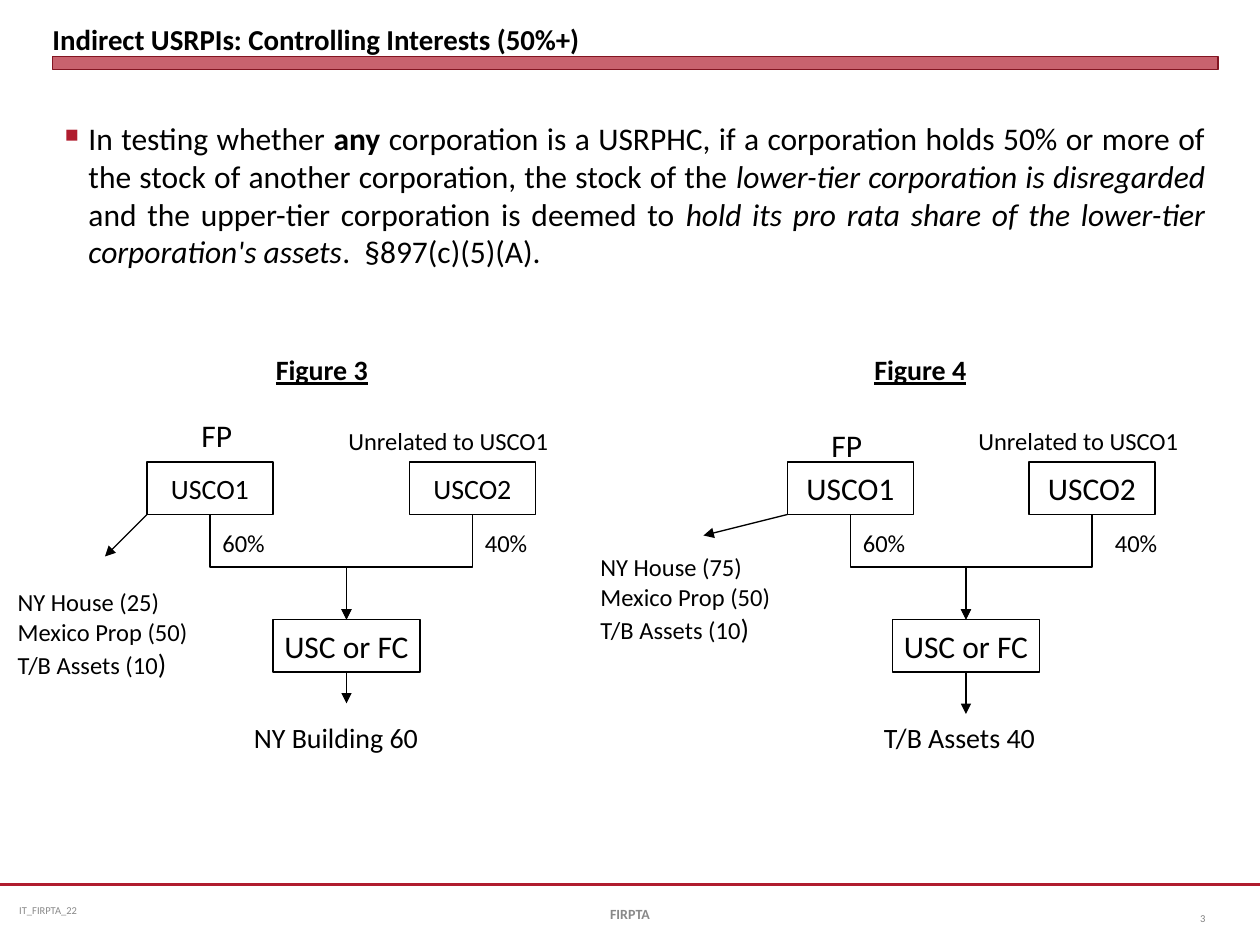
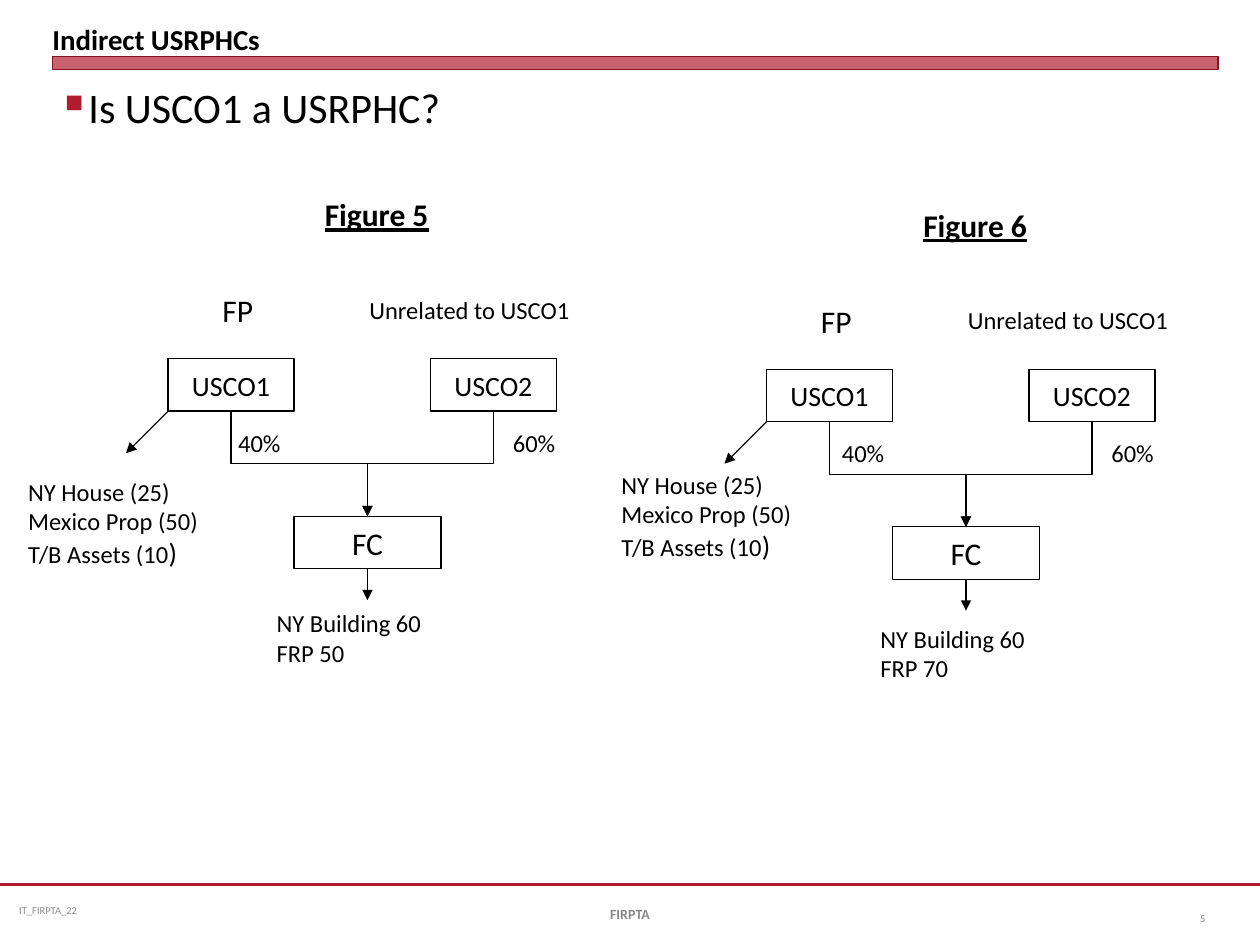
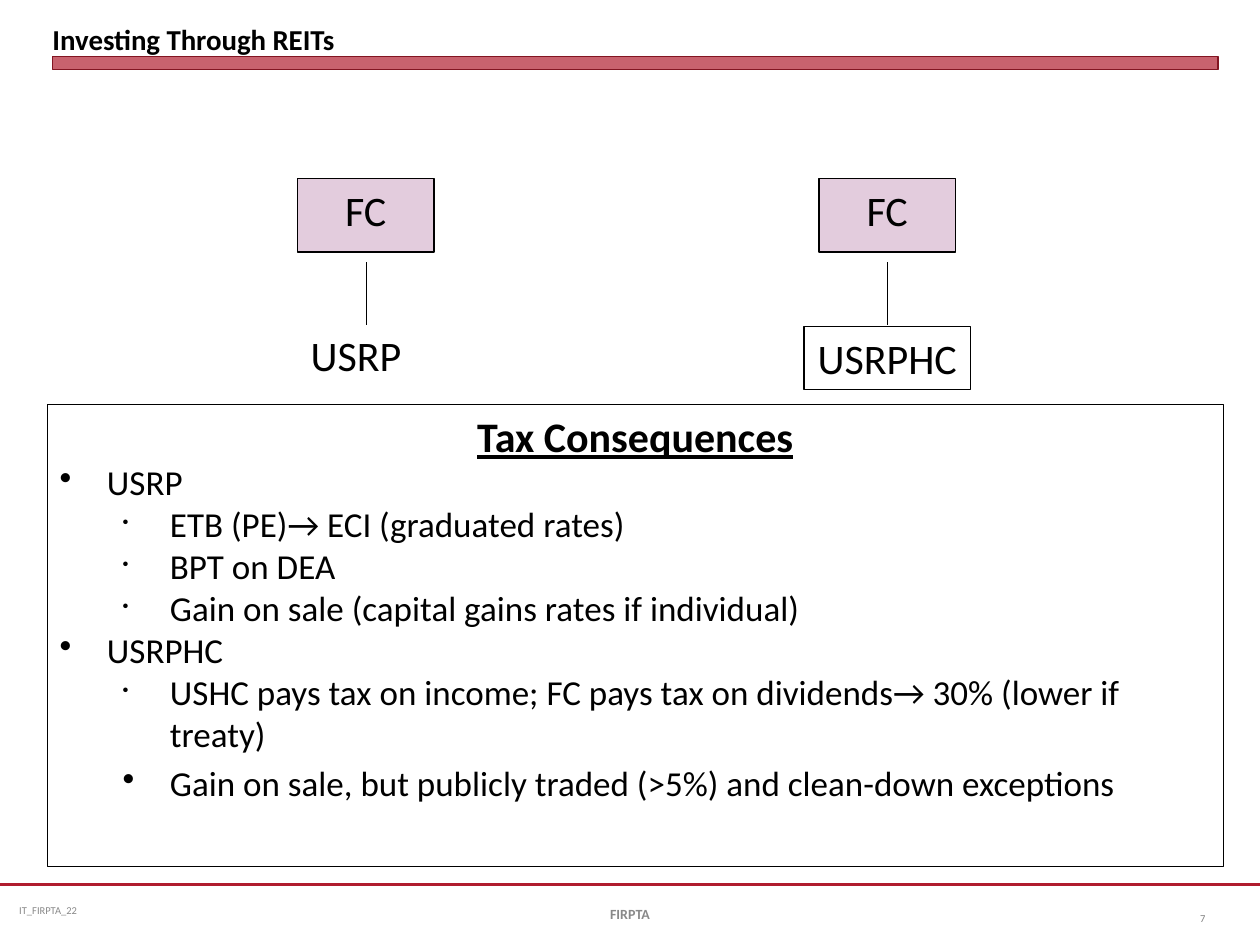
from dataclasses import dataclass

from lxml import etree
from pptx import Presentation
from pptx.dml.color import RGBColor
from pptx.enum import shapes, text
from pptx.oxml import ns
from pptx.util import Pt

FONT = "Calibri"
BLACK, CRIMSON, MAROON = "000000", "B01C2E", "821522"
FOOTER_GREY, NUMBER_GREY, MAUVE = "898989", "808080", "E3CCDD"
LEFT, CENTER, RIGHT, JUSTIFY = (text.PP_ALIGN.LEFT, text.PP_ALIGN.CENTER,
                                text.PP_ALIGN.RIGHT, text.PP_ALIGN.JUSTIFY)
TOP, MIDDLE, BOTTOM = text.MSO_ANCHOR.TOP, text.MSO_ANCHOR.MIDDLE, text.MSO_ANCHOR.BOTTOM
OWNER_WIDTH, TARGET_WIDTH, BOX_HEIGHT = 72, 84, 30


def color(value):
    """Turn a hex string into a colour."""
    return RGBColor.from_string(value)


def child(parent, tag, **attributes):
    """Append a drawing element with the given attributes."""
    return etree.SubElement(parent, ns.qn(tag), attributes)


@dataclass
class Figure:
    """Describe one ownership chart by its positions and wording."""
    heading: str
    heading_at: tuple
    first_x: float
    second_x: float
    top: float
    shares: tuple
    share_shifts: tuple
    share_drop: float
    parent_shift: tuple
    unrelated_shift: tuple
    assets: tuple
    assets_at: tuple
    target: str
    holdings: str
    holdings_at: tuple
    heading_size: float = 16
    owner_size: float = 16
    holdings_size: float = 16
    asset_arrow: tuple = (-24, 24)
    holdings_arrow: float = 18


class Deck:
    """Hold the presentation style and the current slide."""

    def __init__(self):
        """Start an empty 10 by 7.5 inch presentation."""
        self.show = Presentation()
        self.show.slide_width, self.show.slide_height = Pt(720), Pt(540)
        self.slide = None

    def new_slide(self, title, number):
        """Add a slide with its title, band and footer."""
        self.slide = self.show.slides.add_slide(self.show.slide_layouts[5])
        self.line((0, 505.5), (720, 505.5), CRIMSON, 1.25)
        self.label("IT_FIRPTA_22", 6, 505.5, 186, 29, 6, FOOTER_GREY, anchor=MIDDLE,
                   insets=(5, 3, 5, 3))
        band = self.box("", 30, 32.4, 666, 7.2, fill=CRIMSON, outline=MAROON, weight=0)
        tint = band._element.spPr.find(ns.qn("a:solidFill"))[0]
        child(tint, "a:alpha", val="69000")
        heading = self.slide.shapes.title
        heading.left, heading.top = Pt(30), Pt(3.6)
        heading.width, heading.height = Pt(666), Pt(28.8)
        self.set_text(heading.text_frame, title, 16.5, anchor=BOTTOM, insets=(0, 0, 0, 0), bold=True)
        self.label("FIRPTA", 246, 507.5, 228, 29, 8, FOOTER_GREY, CENTER, MIDDLE, bold=True)
        self.label(number, 660, 510, 36, 29, 6, NUMBER_GREY, RIGHT, MIDDLE)

    def style(self, run, size, ink=BLACK, bold=False, italic=False, underline=False):
        """Format one run."""
        font = run.font
        font.name, font.size, font.color.rgb = FONT, Pt(size), color(ink)
        font.bold, font.italic, font.underline = bold, italic, underline

    def set_text(self, frame, wording, size, ink=BLACK, align=LEFT, anchor=TOP, wrap=True,
                 insets=(7.2, 3.6, 7.2, 3.6), **emphasis):
        """Fill a text frame and format all its runs."""
        frame.text = wording
        frame.auto_size = text.MSO_AUTO_SIZE.NONE
        frame.word_wrap, frame.vertical_anchor = wrap, anchor
        frame.margin_left, frame.margin_top, frame.margin_right, frame.margin_bottom = map(Pt, insets)
        for paragraph in frame.paragraphs:
            paragraph.alignment = align
            for run in paragraph.runs:
                self.style(run, size, ink, **emphasis)

    def label(self, wording, left, top, width, height, size, *format_args, **format_options):
        """Add a text box and return its frame."""
        area = self.slide.shapes.add_textbox(Pt(left), Pt(top), Pt(width), Pt(height))
        self.set_text(area.text_frame, wording, size, *format_args, **format_options)
        return area.text_frame

    def box(self, wording, left, top, width, height, size=16, fill=None, outline=BLACK,
            weight=0.75, align=CENTER, anchor=MIDDLE, wrap=False, **emphasis):
        """Add an outlined rectangle with text."""
        entity = self.slide.shapes.add_shape(shapes.MSO_SHAPE.RECTANGLE, Pt(left), Pt(top),
                                             Pt(width), Pt(height))
        entity.shadow.inherit = False
        if fill:
            entity.fill.solid()
            entity.fill.fore_color.rgb = color(fill)
        else:
            entity.fill.background()
        entity.line.color.rgb, entity.line.width = color(outline), Pt(weight)
        self.set_text(entity.text_frame, wording, size, align=align, anchor=anchor, wrap=wrap,
                      **emphasis)
        return entity

    def line(self, start, end, ink=BLACK, weight=0.75, arrow=False, kind=shapes.MSO_CONNECTOR.STRAIGHT):
        """Draw a connector, with an arrowhead at its end if asked."""
        link = self.slide.shapes.add_connector(kind, *map(Pt, (*start, *end)))
        link.line.color.rgb, link.line.width = color(ink), Pt(weight)
        properties = link._element.spPr
        if arrow:
            child(properties.find(ns.qn("a:ln")), "a:tailEnd", type="triangle")
        child(properties, "a:effectLst")
        return link

    def elbow(self, start, end):
        """Draw an arrow that runs down, across and down."""
        across, down = abs(end[0] - start[0]), end[1] - start[1]
        left = (start[0] + end[0] - down) / 2
        top = (start[1] + end[1] - across) / 2
        link = self.line((left, top), (left + down, top + across), arrow=True,
                         kind=shapes.MSO_CONNECTOR.ELBOW)
        frame = link._element.spPr.find(ns.qn("a:xfrm"))
        if end[0] < start[0]:
            frame.set("rot", "5400000")
        else:
            frame.set("rot", "16200000")
            frame.set("flipH", "1")

    def bullet(self, paragraph, mark, margin, hang, percent=100, ink=BLACK):
        """Give a paragraph a hanging bullet."""
        properties = paragraph._p.get_or_add_pPr()
        properties.set("marL", str(Pt(margin)))
        properties.set("indent", str(-Pt(hang)))
        child(child(properties, "a:buClr"), "a:srgbClr", val=ink)
        child(properties, "a:buSzPct", val=str(percent * 1000))
        child(properties, "a:buChar", char=mark)

    def statement(self, parts, top, height, size):
        """Add a justified bullet made of (wording, emphasis) parts."""
        point = self.label("", 30, top, 666, height, size, align=JUSTIFY).paragraphs[0]
        for wording, emphasis in parts:
            run = point.add_run()
            run.text = wording
            self.style(run, size, **emphasis)
        self.bullet(point, "■", 13.5, 13.5, 60, CRIMSON)

    def figure(self, chart):
        """Draw one ownership chart."""
        owners = chart.first_x, chart.second_x
        owner_base, target_top = chart.top + BOX_HEIGHT, chart.top + 90
        target_x = chart.second_x - 78
        target_center = target_x + TARGET_WIDTH / 2
        target_base = target_top + BOX_HEIGHT
        self.label(chart.heading, *chart.heading_at, 73, 29, chart.heading_size, wrap=False,
                   bold=True, underline=True)
        for name, x, share, shift in zip(("USCO1", "USCO2"), owners, chart.shares, chart.share_shifts):
            self.box(name, x, chart.top, OWNER_WIDTH, BOX_HEIGHT, chart.owner_size)
            self.elbow((x + OWNER_WIDTH / 2, owner_base), (target_center, target_top))
            self.label(share, x + shift, chart.top + chart.share_drop, 39, 24, 14, wrap=False)
        self.box(chart.target, target_x, target_top, TARGET_WIDTH, BOX_HEIGHT, 18)

        captions = (("FP", chart.first_x, chart.parent_shift, 32, 18),
                    ("Unrelated to USCO1", chart.second_x, chart.unrelated_shift, 130, 14))
        for wording, x, (right, down), width, size in captions:
            self.label(wording, x + right, chart.top + down, width, 28, size, wrap=False)

        assets = self.label("\n".join(chart.assets), *chart.assets_at, 122, 60, 14)
        last = assets.paragraphs[-1]
        last.runs[0].text = last.text[:-1]
        closing = last.add_run()
        closing.text = ")"
        self.style(closing, 16)

        right, down = chart.asset_arrow
        self.line((chart.first_x, owner_base), (chart.first_x + right, owner_base + down), arrow=True)
        self.line((target_center, target_base), (target_center, target_base + chart.holdings_arrow),
                  arrow=True)
        self.label(chart.holdings, *chart.holdings_at, 148, 41, chart.holdings_size)

    def consequences(self, heading, points, left, top, width, height):
        """Add the framed outline of tax consequences."""
        wording = "\n".join([heading] + [point for point, *_ in points])
        outline = self.box(wording, left, top, width, height, 20, align=LEFT, anchor=TOP, wrap=True)
        title, *rows = outline.text_frame.paragraphs
        title.alignment = CENTER
        self.style(title.runs[0], 24, bold=True, underline=True)
        for row, (_, level, percent) in zip(rows, points):
            row.level = level
            self.bullet(row, "•", 27 + 36 * level, 27, percent)
        rows[-1].space_before = Pt(4)


deck = Deck()
plain, strong, slanted = {}, {"bold": True}, {"italic": True}
house_25 = ("NY House (25)", "Mexico Prop (50)", "T/B Assets (10)")
house_75 = ("NY House (75)", *house_25[1:])

deck.new_slide("Indirect USRPIs: Controlling Interests (50%+)", "3")
deck.statement([
    ("In testing whether ", plain), ("any", strong),
    (" corporation is a USRPHC, if a corporation holds 50% or more of the stock of another "
     "corporation, the stock of the ", plain),
    ("lower-tier corporation is disregarded ", slanted),
    ("and the upper-tier corporation is deemed to ", plain),
    ("hold its pro rata share of the lower-tier corporation's assets", slanted),
    (".  §897(c)(5)(A).", plain)], 64.5, 96, 18)
majority = dict(top=264, shares=("60%", "40%"), share_drop=34, target="USC or FC")
deck.figure(Figure(
    "Figure 3", (150.5, 198), 84, 234, share_shifts=(36, 36), parent_shift=(24, -30),
    unrelated_shift=(-42, -24), assets=house_25, assets_at=(3, 332),
    holdings="NY Building 60", holdings_at=(138, 408), **majority))
deck.figure(Figure(
    "Figure 4", (492.5, 198), 450, 588, share_shifts=(36, 42), parent_shift=(18, -24),
    unrelated_shift=(-36, -24), assets=house_75, assets_at=(336, 312),
    holdings="T/B Assets 40", holdings_at=(498, 408), owner_size=18,
    asset_arrow=(-48, 12), holdings_arrow=24, **majority))

deck.new_slide("Indirect USRPHCs", "5")
deck.statement([("Is USCO1 a USRPHC?", plain)], 43, 40, 24)
minority = dict(shares=("40%", "60%"), share_drop=36, parent_shift=(24, -42),
                unrelated_shift=(-42, -40), assets=house_25, target="FC",
                heading_size=18, holdings_size=14)
deck.figure(Figure(
    "Figure 5", (178.5, 108), 96, 246, 205, share_shifts=(33, 40), assets_at=(9, 269),
    holdings="NY Building 60\nFRP 50", holdings_at=(151, 344), **minority))
deck.figure(Figure(
    "Figure 6", (520.5, 114), 438, 588, 211, share_shifts=(36, 40), assets_at=(348, 265),
    holdings="NY Building 60\nFRP 70", holdings_at=(496, 353), **minority))

deck.new_slide("Investing Through REITs", "7")
for company_x, link_x in ((170, 209.5), (468, 507)):
    deck.box("FC", company_x, 102, 78, 42, 24, MAUVE, anchor=TOP, wrap=True)
    deck.line((link_x, 150), (link_x, 186))
deck.label("USRP", 170.5, 184.5, 67, 36, 24, wrap=False)
deck.box("USRPHC", 459.5, 186.5, 95, 36, 24, anchor=TOP)
deck.consequences("Tax Consequences", [
    ("USRP", 0, 100),
    ("ETB (PE)→ ECI (graduated rates)", 1, 50),
    ("BPT on DEA", 1, 50),
    ("Gain on sale (capital gains rates if individual)", 1, 50),
    ("USRPHC", 0, 100),
    ("USHC pays tax on income; FC pays tax on dividends→ 30% (lower if treaty)", 1, 50),
    ("Gain on sale, but publicly traded (>5%) and clean-down exceptions", 1, 100),
], 27, 231, 672, 264)

deck.show.save("out.pptx")
